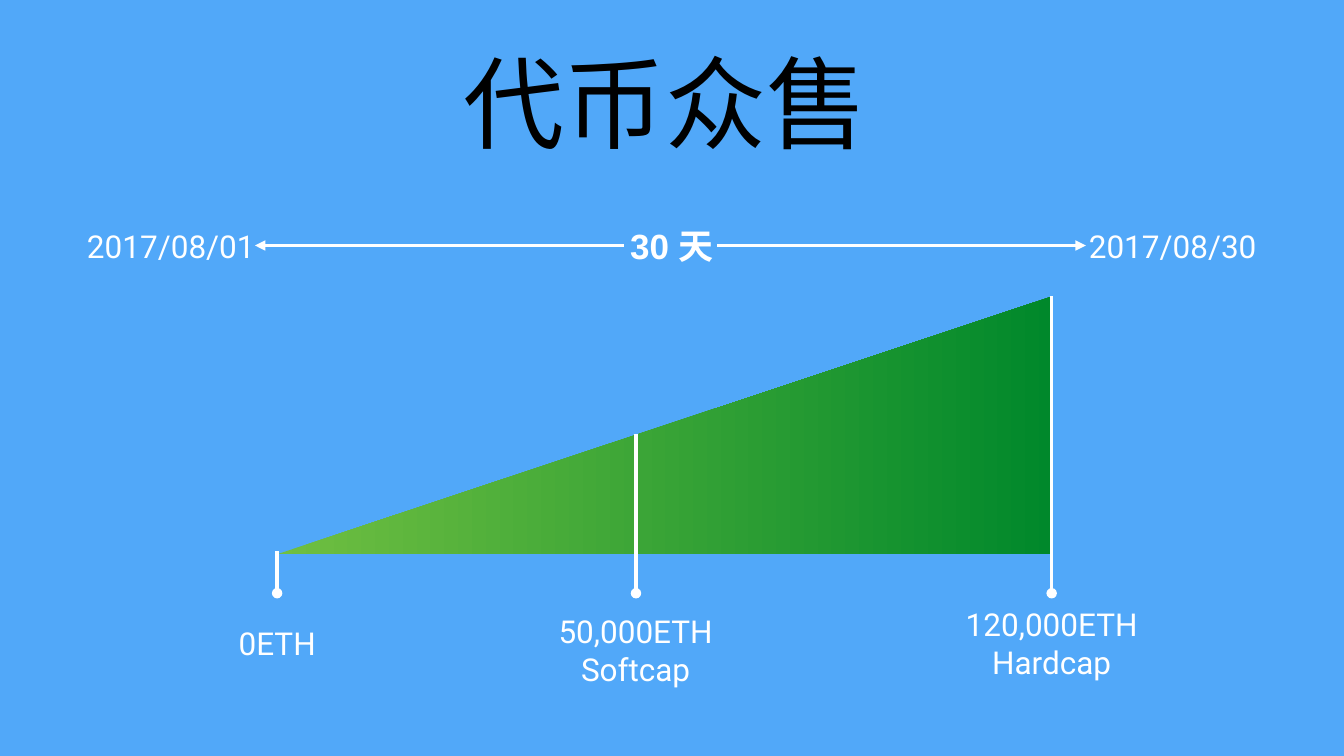
"""Build the token crowdsale timeline slide."""
from dataclasses import dataclass

from lxml import etree
from pptx import Presentation
from pptx.dml.color import RGBColor
from pptx.enum.shapes import MSO_CONNECTOR
from pptx.enum.text import MSO_ANCHOR, MSO_AUTO_SIZE, PP_ALIGN
from pptx.oxml.ns import qn
from pptx.shapes.base import BaseShape
from pptx.slide import Slide
from pptx.util import Inches, Pt

STRAIGHT = MSO_CONNECTOR.STRAIGHT
MIDDLE = MSO_ANCHOR.MIDDLE
CENTER = PP_ALIGN.CENTER
FIT_SHAPE = MSO_AUTO_SIZE.SHAPE_TO_FIT_TEXT

SKY = RGBColor(0x51, 0xA8, 0xF9)
WHITE = RGBColor(0xFF, 0xFF, 0xFF)
BLACK = RGBColor(0, 0, 0)
LIME = RGBColor(0x70, 0xBF, 0x41)
FOREST = RGBColor(0x00, 0x88, 0x2B)

WIDTH, HEIGHT = Inches(26.67), Inches(15)
INSET = Inches(0.08)
TITLE_ONLY = 5
ARROW_Y = 32.47
MARKER_BASE = 78.47
DATE_TOP, DATE_WIDTH, DATE_HEIGHT = 29.2, 13.12, 6.53
CAP_HEIGHT = 12
FRAME_FORMAT = {
    "margin_left": INSET, "margin_right": INSET,
    "margin_top": INSET, "margin_bottom": INSET,
    "vertical_anchor": MIDDLE, "word_wrap": False, "auto_size": FIT_SHAPE,
}


@dataclass(frozen=True)
class Label:
    """Text in a box measured in percent of the slide."""
    text: str
    left: float
    top: float
    width: float
    height: float
    size: int = 45
    font: str = "Roboto"
    color: RGBColor = WHITE
    bold: bool = False


@dataclass(frozen=True)
class Rule:
    """Line between two points in percent, with an end mark."""
    start: tuple[float, float]
    end: tuple[float, float]
    mark_end: str
    mark: str


TITLE = Label("代币众售", 34.2, 3.53, 30.63, 19.73, 144, color=BLACK)
LABELS = [
    Label("30 天", 46.57, 28.67, 6.86, 7.53, 50, "Arial", bold=True),
    Label("2017/08/01", 6.15, DATE_TOP, DATE_WIDTH, DATE_HEIGHT),
    Label("2017/08/30", 80.69, DATE_TOP, DATE_WIDTH, DATE_HEIGHT),
    Label("50,000ETH\nSoftcap", 40.94, 80, 12.71, CAP_HEIGHT),
    Label("120,000ETH\nHardcap", 71.24, 79.07, 14.02, CAP_HEIGHT),
    Label("0ETH", 17.14, 79.07, 6.97, CAP_HEIGHT),
]
ARROWS = [
    Rule((53.36, ARROW_Y), (80.8, ARROW_Y), "a:tailEnd", "triangle"),
    Rule((18.97, ARROW_Y), (46.42, ARROW_Y), "a:headEnd", "triangle"),
]
MARKERS = [
    Rule((x, MARKER_BASE), (x, top), "a:headEnd", "oval")
    for x, top in [(47.32, 57.47), (78.25, 39.2), (20.62, 72.93)]
]
GROWTH_CORNERS = [(20.7, 73.27), (78.33, 73.27), (78.33, 39.2)]


def across(share: float) -> int:
    """Turn a percentage of the slide's width into a length."""
    return round(WIDTH * share / 100)


def down(share: float) -> int:
    """Turn a percentage of the slide's height into a length."""
    return round(HEIGHT * share / 100)


def write_label(holder: BaseShape, label: Label) -> None:
    """Fill and format a text holder, one paragraph for each line."""
    frame = holder.text_frame
    frame.text = label.text
    for name, value in FRAME_FORMAT.items():
        setattr(frame, name, value)
    font_format = {"size": Pt(label.size), "name": label.font, "bold": label.bold}
    for paragraph in frame.paragraphs:
        paragraph.alignment = CENTER
        font = paragraph.runs[0].font
        font.color.rgb = label.color
        for name, value in font_format.items():
            setattr(font, name, value)
    place = {"left": across(label.left), "top": down(label.top),
             "width": across(label.width), "height": down(label.height)}
    for name, value in place.items():
        setattr(holder, name, value)


def draw_rule(slide: Slide, rule: Rule) -> None:
    """Draw a white line with its end mark."""
    (x1, y1), (x2, y2) = rule.start, rule.end
    connector = slide.shapes.add_connector(
        STRAIGHT, across(x1), down(y1), across(x2), down(y2))
    connector.line.color.rgb = WHITE
    connector.line.width = Pt(5)
    properties = connector._element.spPr
    outline = properties.find(qn("a:ln"))
    etree.SubElement(outline, qn(rule.mark_end), type=rule.mark)
    etree.SubElement(properties, qn("a:effectLst"))


def draw_growth(slide: Slide) -> None:
    """Draw the rising wedge of funds raised."""
    first, *others = [(across(x), down(y)) for x, y in GROWTH_CORNERS]
    builder = slide.shapes.build_freeform(*first)
    builder.add_line_segments(others, close=True)
    wedge = builder.convert_to_shape()
    wedge.shadow.inherit = False
    wedge.line.fill.background()
    wedge.fill.gradient()
    wedge.fill.gradient_angle = 0
    for stop, color in zip(wedge.fill.gradient_stops, (LIME, FOREST)):
        stop.color.rgb = color


def main() -> None:
    """Assemble and save the slide."""
    deck = Presentation()
    deck.slide_width, deck.slide_height = WIDTH, HEIGHT
    slide = deck.slides.add_slide(deck.slide_layouts[TITLE_ONLY])
    slide.background.fill.solid()
    slide.background.fill.fore_color.rgb = SKY
    write_label(slide.shapes.title, TITLE)
    draw_growth(slide)
    for rule in ARROWS + MARKERS:
        draw_rule(slide, rule)
    for label in LABELS:
        write_label(slide.shapes.add_textbox(0, 0, 0, 0), label)
    deck.save("out.pptx")


if __name__ == "__main__":
    main()
